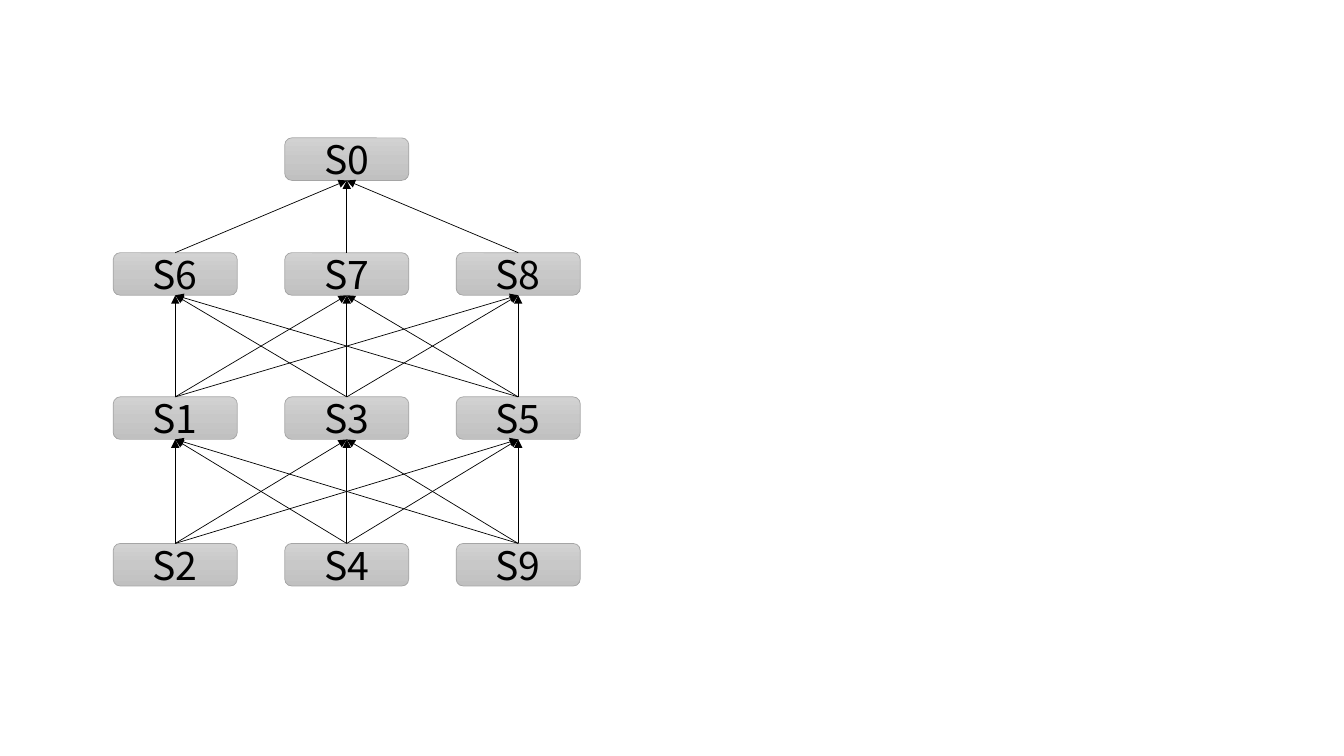
from copy import deepcopy
from itertools import pairwise, product

from lxml.etree import SubElement
from pptx import Presentation
from pptx.dml.color import RGBColor
from pptx.enum.shapes import MSO_CONNECTOR, MSO_SHAPE
from pptx.enum.text import MSO_ANCHOR, PP_ALIGN
from pptx.oxml.ns import qn
from pptx.util import Pt

COLOURS = {
    "box_top": "D2D2D2",
    "box_middle": "C8C8C8",
    "box_bottom": "C0C0C0",
    "box_edge": "A5A5A5",
    "ink": "000000",
}
LABEL_FORMAT = {"name": "Noto Sans CJK SC", "size": Pt(28)}
NODE_WIDTH, NODE_HEIGHT = 88.6, 30.4
FIRST_LEFT, COLUMN_PITCH = 80.9, 122.5
TOP_SITE, BOTTOM_SITE = 0, 2

LEVELS = [
    (98.5, {1: "S0"}),
    (180.5, {0: "S6", 1: "S7", 2: "S8"}),
    (283.5, {0: "S1", 1: "S3", 2: "S5"}),
    (388.2, {0: "S2", 1: "S4", 2: "S9"}),
]


class Diagram:
    def __init__(self, slide, colours, label_format):
        self.slide = slide
        self.colours = colours
        self.label_format = label_format

    def colour(self, key):
        return RGBColor.from_string(self.colours[key])

    def outline(self, line, key):
        line.color.rgb = self.colour(key)
        line.width = Pt(0.5)

    def shade(self, node):
        node.fill.gradient()
        node.fill.gradient_angle = 270
        stop_list = next(node._element.iter(qn("a:gsLst")))
        stop_list.insert(1, deepcopy(stop_list[0]))
        shades = [(0, "box_top"), (0.5, "box_middle"), (1, "box_bottom")]
        for stop, (position, key) in zip(node.fill.gradient_stops, shades):
            stop.position = position
            stop.color.rgb = self.colour(key)

    def node(self, label, column, top):
        left = FIRST_LEFT + column * COLUMN_PITCH
        node = self.slide.shapes.add_shape(
            MSO_SHAPE.ROUNDED_RECTANGLE,
            Pt(left), Pt(top), Pt(NODE_WIDTH), Pt(NODE_HEIGHT),
        )
        node.shadow.inherit = False
        self.shade(node)
        self.outline(node.line, "box_edge")
        node.text_frame.vertical_anchor = MSO_ANCHOR.MIDDLE
        caption = node.text_frame.paragraphs[0]
        caption.alignment = PP_ALIGN.CENTER
        run = caption.add_run()
        run.text = label
        for attribute, value in self.label_format.items():
            setattr(run.font, attribute, value)
        run.font.color.rgb = self.colour("ink")
        return node

    def arrow(self, child, parent):
        arrow = self.slide.shapes.add_connector(MSO_CONNECTOR.STRAIGHT, 0, 0, 0, 0)
        arrow.begin_connect(child, TOP_SITE)
        arrow.end_connect(parent, BOTTOM_SITE)
        self.outline(arrow.line, "ink")
        SubElement(arrow.line._get_or_add_ln(), qn("a:tailEnd"), type="triangle")
        SubElement(arrow._element.spPr, qn("a:effectLst"))


def main():
    presentation = Presentation()
    presentation.slide_width, presentation.slide_height = Pt(960), Pt(540)
    slide = presentation.slides.add_slide(presentation.slide_layouts[6])
    diagram = Diagram(slide, COLOURS, LABEL_FORMAT)

    levels = [
        [diagram.node(label, column, top) for column, label in labels.items()]
        for top, labels in LEVELS
    ]
    for parents, children in pairwise(levels):
        for child, parent in product(children, parents):
            diagram.arrow(child, parent)

    presentation.save("out.pptx")


if __name__ == "__main__":
    main()
